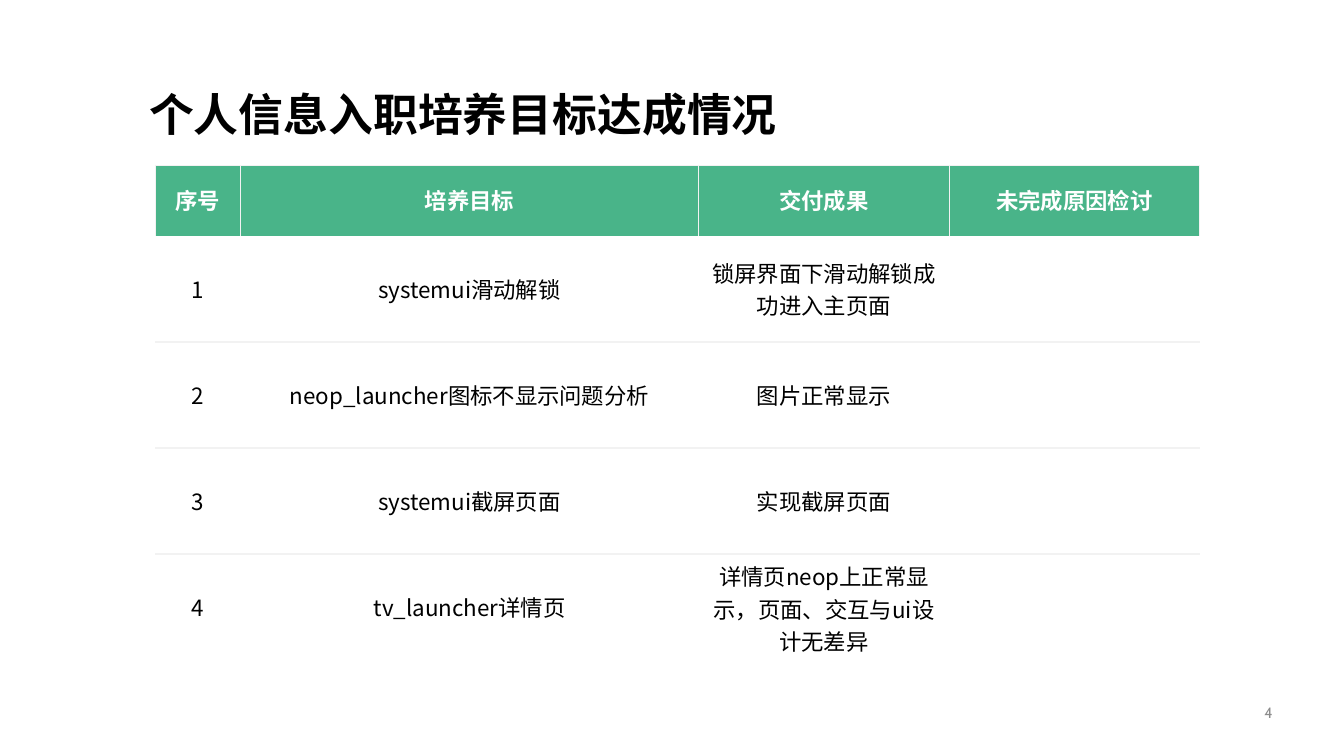
from lxml import etree
from pptx import Presentation
from pptx import util as u
from pptx.dml import color
from pptx.enum import text
from pptx.oxml import ns

GREEN, WHITE, BLACK, RULE, GREY = "49B489", "FFFFFF", "000000", "F2F2F2", "8C8C8C"
ALIGN = {"l": text.PP_ALIGN.LEFT, "c": text.PP_ALIGN.CENTER, "r": text.PP_ALIGN.RIGHT}


def rgb(value):
    return color.RGBColor.from_string(value)


class Page:
    """Style and current slide; lengths are cells of a 160 x 90 grid."""

    def __init__(self, prs):
        self.unit = prs.slide_width / 160
        self.s = prs.slides.add_slide(prs.slide_layouts[6])

    def grid(self, *cells):
        return [u.Emu(round(c * self.unit)) for c in cells]

    def set_text(self, tf, words, size, font, fill, bold=False, align="l"):
        p = tf.paragraphs[0]
        p.text, p.alignment = words, ALIGN[align]
        f = p.font
        f.size, f.name, f.bold = u.Pt(size), font, bold
        f.color.rgb = rgb(fill)
        props = p._p.pPr.find(ns.qn("a:defRPr"))
        etree.SubElement(props, ns.qn("a:ea"), typeface=font)

    def label(self, box, insets, words, *style, **options):
        tf = self.s.shapes.add_textbox(*self.grid(*box)).text_frame
        tf.word_wrap = True
        (tf.margin_left, tf.margin_top,
         tf.margin_right, tf.margin_bottom) = self.grid(*insets)
        self.set_text(tf, words, *style, **options)

    def border(self, cell, sides):
        """Give each side (L, R, T, B) a rule, or none; lines precede the fill."""
        props = cell._tc.get_or_add_tcPr()
        for i, side in enumerate("LRTB"):
            ln = etree.Element(ns.qn("a:ln" + side), w=str(u.Pt(1)))
            if side in sides:
                fill = etree.SubElement(ln, ns.qn("a:solidFill"))
                etree.SubElement(fill, ns.qn("a:srgbClr"), val=RULE)
            else:
                etree.SubElement(ln, ns.qn("a:noFill"))
            props.insert(i, ln)

    def table(self, left, top, widths, heights, rows):
        box = self.grid(left, top, sum(widths), sum(heights))
        tbl = self.s.shapes.add_table(len(rows), len(widths), *box).table
        for column, width in zip(tbl.columns, self.grid(*widths)):
            column.width = width
        for line, height in zip(tbl.rows, self.grid(*heights)):
            line.height = height
        for i, row in enumerate(rows):
            head, last = i == 0, i == len(rows) - 1
            sides = "LRT" if head else ("T" if i > 1 else "") + ("" if last else "B")
            for j, words in enumerate(row):
                cell = tbl.cell(i, j)
                cell.vertical_anchor = text.MSO_ANCHOR.MIDDLE
                cell.margin_left, cell.margin_top = self.grid(1.44, 0.72)
                cell.margin_right, cell.margin_bottom = self.grid(1.44, 0.72)
                cell.fill.solid()
                cell.fill.fore_color.rgb = rgb(GREEN if head else WHITE)
                self.border(cell, sides)
                self.set_text(cell.text_frame, words, 16,
                              "Noto Sans" if head else "Noto Sans CJK SC",
                              WHITE if head else BLACK, bold=head, align="c")


prs = Presentation()
prs.slide_width, prs.slide_height = u.Inches(13.33), u.Inches(7.5)
page = Page(prs)

# Page number
page.label((137.3, 83.2, 14.2, 3.4), (1.2, 0.6, 0, 0.6), "4",
           10.7, "Cabin", GREY, align="r")

# Title
page.label((16.2, 10.3, 103.2, 7.9), (1.56, 0, 0, 0), "个人信息入职培养目标达成情况",
           32, "Open Sans", BLACK, bold=True)

# Goals table
goals = [
    ("systemui滑动解锁", "锁屏界面下滑动解锁成功进入主页面"),
    ("neop_launcher图标不显示问题分析", "图片正常显示"),
    ("systemui截屏页面", "实现截屏页面"),
    ("tv_launcher详情页", "详情页neop上正常显示，页面、交互与ui设计无差异"),
]
rows = [("序号", "培养目标", "交付成果", "未完成原因检讨")]
rows += [(str(n), goal, result, "") for n, (goal, result) in enumerate(goals, 1)]
page.table(18.5, 19.7, (10.1, 54.6, 29.8, 29.8), [8.4] + [12.63] * len(goals), rows)

prs.save("out.pptx")
